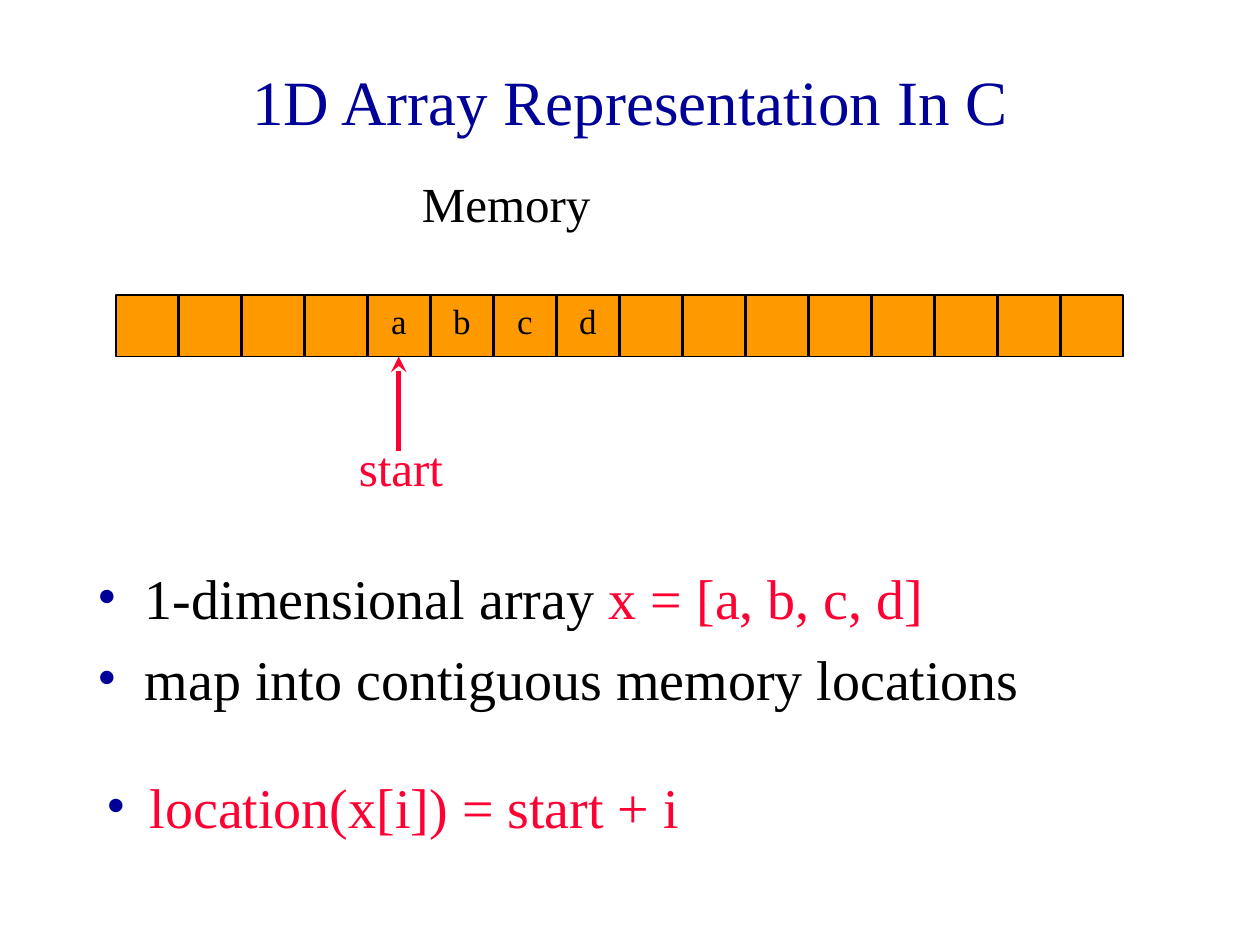
from lxml.etree import SubElement as Sub
from pptx import Presentation
from pptx.dml.color import RGBColor as RGB
from pptx.enum.shapes import MSO_CONNECTOR as LINE, MSO_SHAPE as SHAPE
from pptx.enum.text import MSO_ANCHOR as ANCHOR, MSO_AUTO_SIZE as FIT, PP_ALIGN as ALIGN
from pptx.oxml.ns import qn
from pptx.util import Inches, Pt

HUE = {"navy": "000099", "black": "000000", "red": "FF0033", "orange": "FF9900"}
FACE = "Times New Roman"

TITLE = "1D Array Representation In C"
POINTS = [
    [("1-dimensional array ", "black"), ("x = [a, b, c, d]", "red")],
    [("map into contiguous memory locations", "black")],
]
FORMULA = [[("location(x[i]) = start + i", "red")]]
LABELS = [
    ("Memory", "black", (3.25, 1.33, 2.42, 0.57)),
    ("start", "red", (2.75, 3.42, 1.17, 0.57)),
]
CELLS = [""] * 4 + ["a", "b", "c", "d"] + [""] * 8
LEFT, TOP, SIDE, STEP = 0.92, 2.34, 0.49, 0.5


def color(name):
    return RGB.from_string(HUE[name])


def style(item, size, hue):
    item.font.name = FACE
    item.font.size = Pt(size)
    item.font.color.rgb = color(hue)


def place(shape, box):
    shape.left, shape.top, shape.width, shape.height = map(Inches, box)


def bullet(para, indent):
    """Give the paragraph a navy dot and a hanging indent."""
    props = para._p.get_or_add_pPr()
    props.set("marL", str(Inches(indent)))
    props.set("indent", str(-Inches(indent)))
    Sub(Sub(props, qn("a:buClr")), qn("a:srgbClr"), val=HUE["navy"])
    Sub(props, qn("a:buFont"), typeface=FACE)
    Sub(props, qn("a:buChar"), char="•")


def fill_list(frame, rows, indent):
    frame.word_wrap = True
    frame.auto_size = FIT.NONE
    for n, row in enumerate(rows):
        para = frame.add_paragraph() if n else frame.paragraphs[0]
        bullet(para, indent)
        para.space_before = Pt(8 if n else 0)
        style(para, 32, row[0][1])
        for text, hue in row:
            run = para.add_run()
            run.text = text
            if hue != row[0][1]:
                run.font.color.rgb = color(hue)


def add_cell(shapes, n, text):
    cell = shapes.add_shape(SHAPE.RECTANGLE, Inches(LEFT + n * STEP), Inches(TOP),
                            Inches(SIDE), Inches(SIDE))
    cell.shadow.inherit = False
    cell.fill.solid()
    cell.fill.fore_color.rgb = color("orange")
    cell.line.color.rgb = color("black")
    cell.line.width = Pt(1)
    if text:
        frame = cell.text_frame
        frame.vertical_anchor = ANCHOR.TOP
        frame.margin_top = Inches(0.04)
        para = frame.paragraphs[0]
        para.text = text
        para.alignment = ALIGN.CENTER
        style(para, 20, "black")


def add_arrow(shapes):
    """Point from the start label up to the cell that holds a."""
    mid = Inches(LEFT + CELLS.index("a") * STEP + SIDE / 2)
    arrow = shapes.add_connector(LINE.STRAIGHT, mid, Inches(3.58), mid, Inches(TOP + SIDE))
    arrow.line.color.rgb = color("red")
    arrow.line.width = Pt(3)
    Sub(arrow.line._get_or_add_ln(), qn("a:tailEnd"), type="stealth")
    Sub(arrow._element.spPr, qn("a:effectLst"))


def main():
    deck = Presentation()
    deck.slide_width, deck.slide_height = Inches(10), Inches(7.5)
    slide = deck.slides.add_slide(deck.slide_layouts[1])
    shapes = slide.shapes

    title, body = slide.placeholders
    place(title, (0.25, 0.17, 9.5, 1.25))
    title.text_frame.text = TITLE
    title.text_frame.auto_size = FIT.NONE
    style(title.text_frame.paragraphs[0], 36, "navy")
    place(body, (0.67, 4.42, 8.5, 1.33))
    fill_list(body.text_frame, POINTS, 0.38)

    for n, text in enumerate(CELLS):
        add_cell(shapes, n, text)
    add_arrow(shapes)
    for text, hue, box in LABELS:
        frame = shapes.add_textbox(*map(Inches, box)).text_frame
        frame.word_wrap = True
        frame.text = text
        style(frame.paragraphs[0], 28, hue)

    note = shapes.add_textbox(*map(Inches, (0.75, 6.08, 8, 1.4)))
    fill_list(note.text_frame, FORMULA, 0.34)
    deck.save("out.pptx")


if __name__ == "__main__":
    main()
